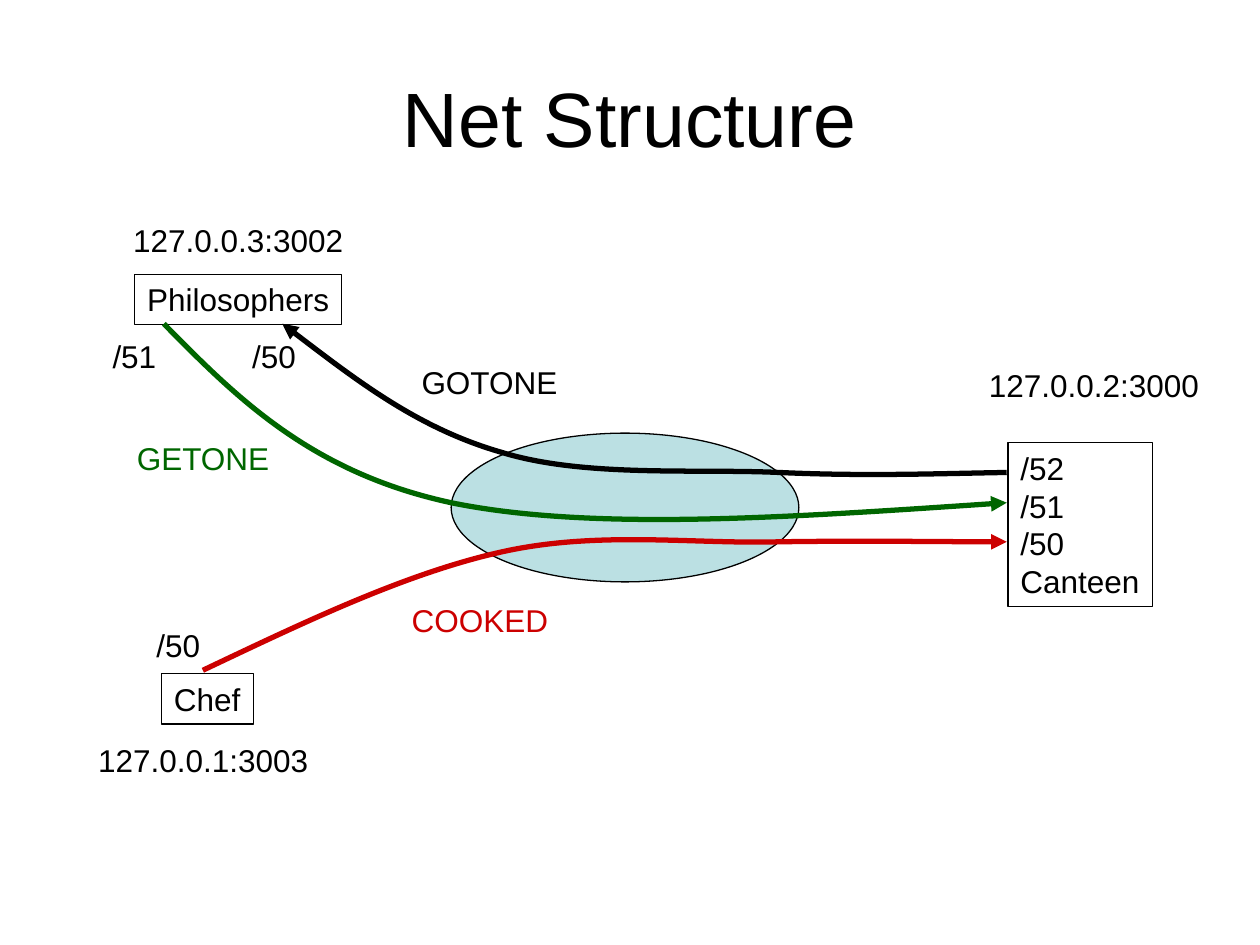
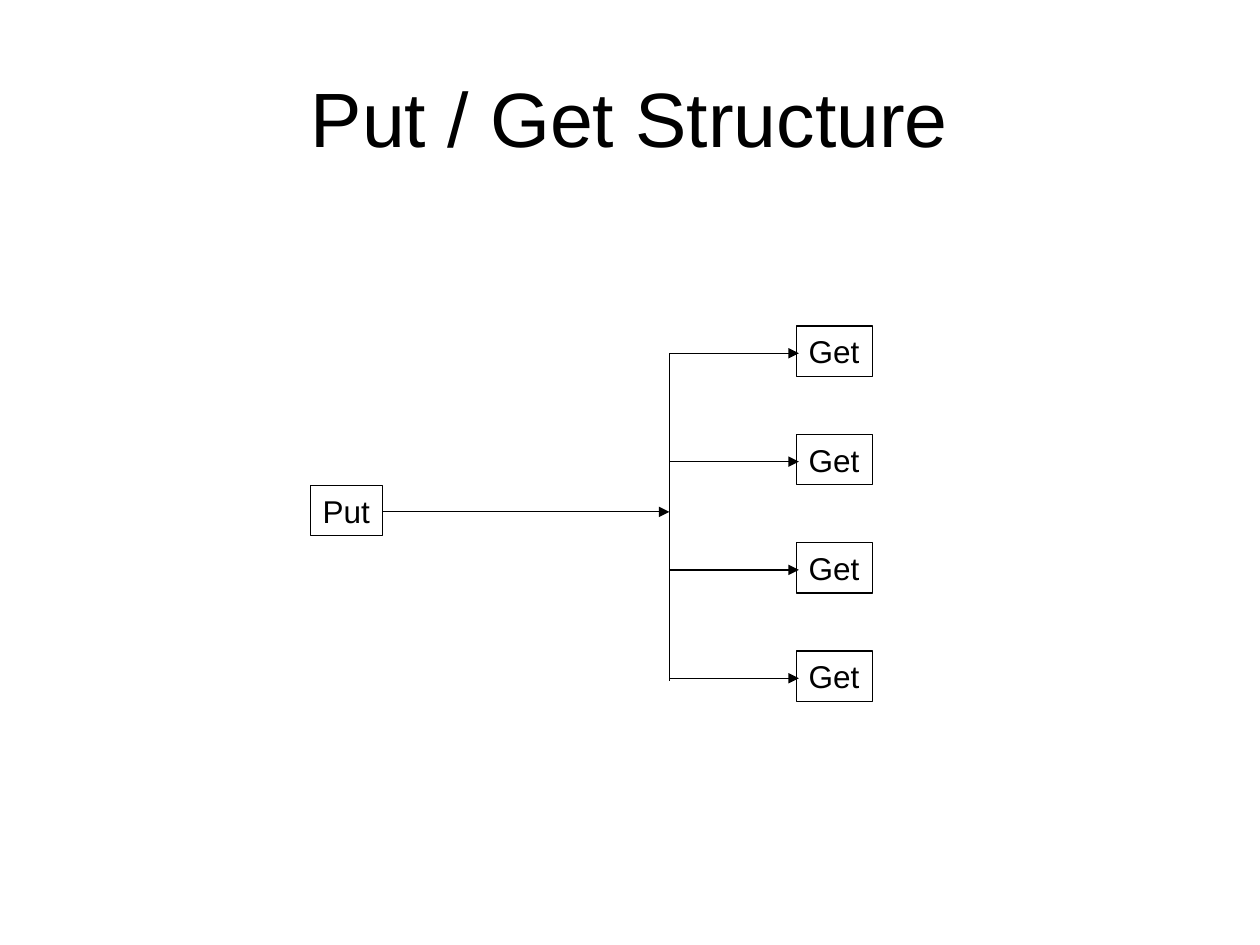
"""Build two slides on the net structure and the put/get structure."""
from lxml import etree
from pptx import Presentation
from pptx.dml.color import RGBColor
from pptx.enum.shapes import MSO_CONNECTOR, MSO_SHAPE
from pptx.enum.text import MSO_ANCHOR, MSO_AUTO_SIZE, PP_ALIGN
from pptx.oxml.ns import qn
from pptx.util import Pt

STRAIGHT = MSO_CONNECTOR.STRAIGHT
ELLIPSE = MSO_SHAPE.OVAL
CENTER = PP_ALIGN.CENTER
MIDDLE = MSO_ANCHOR.MIDDLE
FIT_SHAPE = MSO_AUTO_SIZE.SHAPE_TO_FIT_TEXT
FIXED_SIZE = MSO_AUTO_SIZE.NONE

FONT = "Arial"
BLACK, RED, GREEN, PALE_BLUE = "000000", "CC0000", "006600", "BBE0E3"
THIN, THICK = 0.75, 3
ROW_HEIGHT = 28.8


def draw_line(shape, color=BLACK, width=THIN, arrow=False):
    shape.line.color.rgb = RGBColor.from_string(color)
    shape.line.width = Pt(width)
    properties = shape._element.spPr
    if arrow:
        etree.SubElement(properties.find(qn("a:ln")), qn("a:tailEnd"), type="triangle")
    etree.SubElement(properties, qn("a:effectLst"))


def add_text(slide, text, left, top, width, height=ROW_HEIGHT, size=18, color=BLACK):
    shape = slide.shapes.add_textbox(Pt(left), Pt(top), Pt(width), Pt(height))
    shape.text_frame.text = text
    shape.text_frame.word_wrap = False
    shape.text_frame.auto_size = FIT_SHAPE
    for paragraph in shape.text_frame.paragraphs:
        for run in paragraph.runs:
            run.font.name = FONT
            run.font.size = Pt(size)
            run.font.color.rgb = RGBColor.from_string(color)
    return shape


presentation = Presentation()
presentation.slide_width = Pt(720)
presentation.slide_height = Pt(540)

slides = []
for title in ("Net Structure", "Put / Get Structure"):
    slide = presentation.slides.add_slide(presentation.slide_layouts[6])
    heading = add_text(slide, title, 36, 21.6, 648, 90, size=44)
    heading.text_frame.word_wrap = True
    heading.text_frame.auto_size = FIXED_SIZE
    heading.text_frame.vertical_anchor = MIDDLE
    heading.text_frame.paragraphs[0].alignment = CENTER
    slides.append(slide)
net_slide, put_get_slide = slides

network = net_slide.shapes.add_shape(ELLIPSE, Pt(257.8), Pt(247.5), Pt(198.7), Pt(85))
network.fill.solid()
network.fill.fore_color.rgb = RGBColor.from_string(PALE_BLUE)
draw_line(network)

hosts = [
    ("Philosophers", 77, 156.7, 118.3, ROW_HEIGHT),
    ("Chef", 92.3, 385, 52.6, ROW_HEIGHT),
    ("/52\n/51\n/50\nCanteen", 576, 253, 82.5, 93.6),
]
for host in hosts:
    draw_line(add_text(net_slide, *host))

messages = [
    (RED, [(115.9, 383), (173.5, 355.7), (231.8, 327.6), (286.6, 315.4), (341.3, 303.1),
           (396.7, 311), (445, 309.6), (493.2, 308.9), (534.2, 309.6), (575.3, 309.6)]),
    (GREEN, [(93.6, 185), (135.4, 227.5), (177.8, 270), (257.8, 287.3), (338.4, 303.8),
             (457.2, 295.2), (575.3, 287.3)]),
    (BLACK, [(575.3, 270), (534.2, 270.7), (493.2, 272.2), (445, 270), (396.7, 267.8),
             (333.4, 272.9), (286.6, 258.5), (239, 244.8), (200.2, 214.6), (161.3, 185)]),
]
for color, points in messages:
    start, *others = [(Pt(x), Pt(y)) for x, y in points]
    builder = net_slide.shapes.build_freeform(*start)
    builder.add_line_segments(others, close=False)
    curve = builder.convert_to_shape()
    curve.fill.background()
    draw_line(curve, color, THICK, arrow=True)
    segments = list(curve._element.iter(qn("a:lnTo")))
    outline = segments[0].getparent()
    for first in range(0, len(segments), 3):
        bezier = etree.SubElement(outline, qn("a:cubicBezTo"))
        for segment in segments[first:first + 3]:
            bezier.append(segment[0])
            outline.remove(segment)

labels = [
    ("COOKED", 228.2, 339.8, 92.2, RED),
    ("GETONE", 71.1, 247.4, 90, GREEN),
    ("GOTONE", 233.8, 203.8, 92.2, BLACK),
    ("127.0.0.3:3002", 69, 122.7, 134.6, BLACK),
    ("127.0.0.1:3003", 49, 419.8, 134.6, BLACK),
    ("127.0.0.2:3000", 558, 205.5, 134.6, BLACK),
    ("/51", 57.2, 189, 39.6, BLACK),
    ("/50", 137, 189, 39.6, BLACK),
    ("/50", 82.3, 354.2, 39.6, BLACK),
]
for text, left, top, width, color in labels:
    add_text(net_slide, text, left, top, width, color=color)

bus_x = 382.5
wires = [(bus_x, 202, bus_x, 389, False), (218.5, 292.5, bus_x, 292.5, True)]
for index in range(4):
    get_top = 186.3 + 61.9 * index
    draw_line(add_text(put_get_slide, "Get", 455, get_top, 43.5))
    wires.append((bus_x, get_top + 15.6, 456.5, get_top + 15.6, True))
draw_line(add_text(put_get_slide, "Put", 177.3, 277.4, 41.3))
for *ends, arrow in wires:
    wire = put_get_slide.shapes.add_connector(STRAIGHT, *[Pt(end) for end in ends])
    draw_line(wire, arrow=arrow)

presentation.save("out.pptx")
